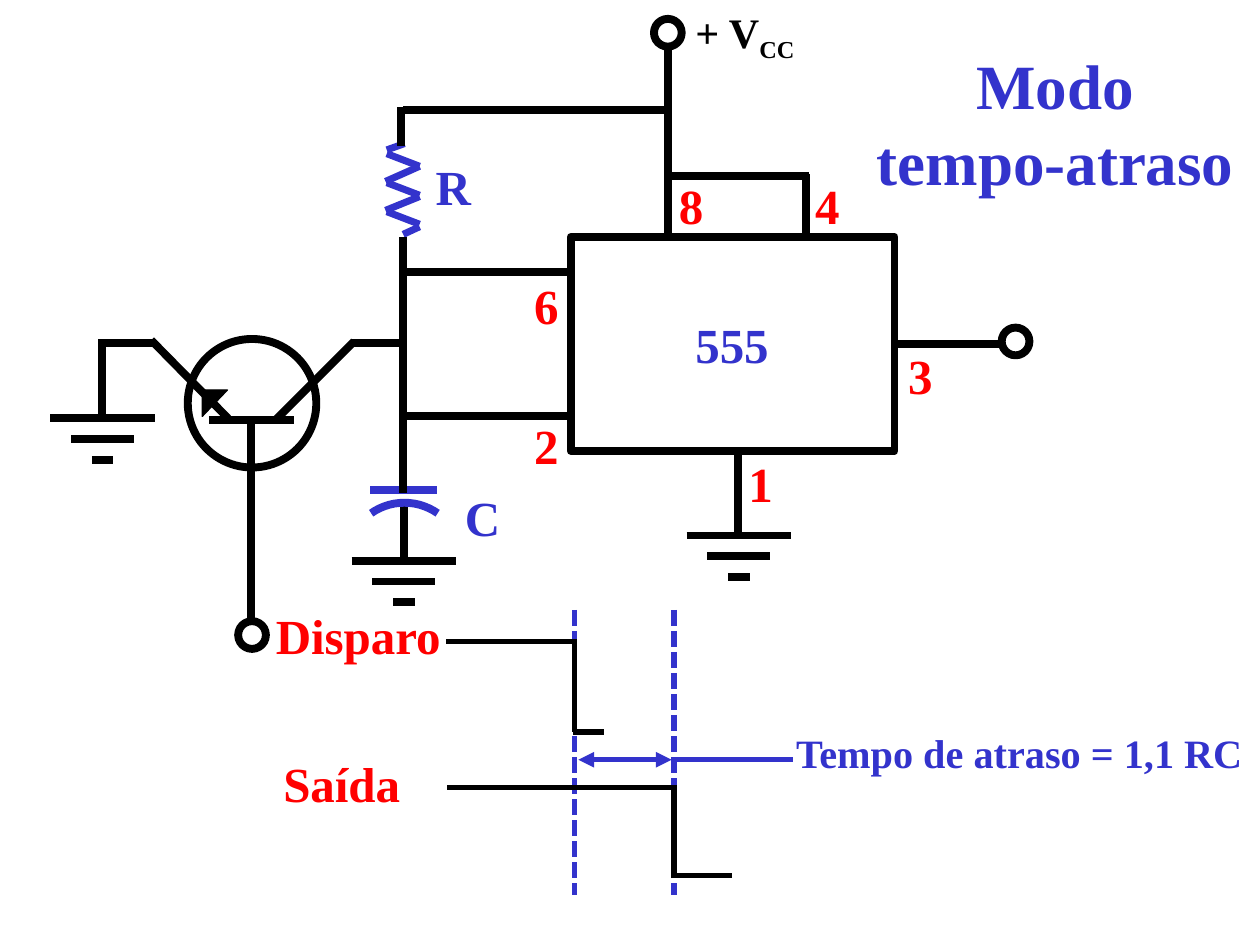
from math import cos, radians, sin

from lxml.etree import SubElement
from pptx import Presentation
from pptx.dml.color import RGBColor
from pptx.enum.dml import MSO_LINE
from pptx.enum.shapes import MSO_CONNECTOR, MSO_SHAPE
from pptx.enum.text import PP_ALIGN
from pptx.oxml.ns import qn
from pptx.util import Inches, Pt

COLORS = {"black": "000000", "blue": "3333CC", "red": "FF0000", "white": "FFFFFF"}
FONT = "Times New Roman"
THICK, THIN = 4.5, 3


def color(name):
    """Return the named colour."""
    return RGBColor.from_string(COLORS[name])


def style_shape(shape, fill=None, line="black", weight=THICK):
    """Set the fill and outline of a shape and drop its shadow."""
    shape.shadow.inherit = False
    if fill:
        shape.fill.solid()
        shape.fill.fore_color.rgb = color(fill)
    else:
        shape.fill.background()
    shape.line.color.rgb = color(line)
    shape.line.width = Pt(weight)
    return shape


def add_shape(page, kind, left, top, width, height, **style):
    """Add a styled preset shape."""
    shape = page.shapes.add_shape(kind, Inches(left), Inches(top), Inches(width), Inches(height))
    return style_shape(shape, **style)


def add_line(page, start, end, line="black", weight=THICK, dash=None, arrows=False):
    """Add a straight line between two points."""
    connector = page.shapes.add_connector(
        MSO_CONNECTOR.STRAIGHT, *(Inches(value) for value in (*start, *end)))
    connector.line.color.rgb = color(line)
    connector.line.width = Pt(weight)
    if dash:
        connector.line.dash_style = dash
    if arrows:
        outline = connector.line._get_or_add_ln()
        for tag in ("a:headEnd", "a:tailEnd"):
            SubElement(outline, qn(tag)).set("type", "triangle")
    SubElement(connector._element.spPr, qn("a:effectLst"))
    return connector


def add_lines(page, left, top, segments, **style):
    """Add lines whose points are offsets from a corner."""
    for x1, y1, x2, y2 in segments:
        add_line(page, (left + x1, top + y1), (left + x2, top + y2), **style)


def add_text(page, text, left, top, width, height, size=28, ink="red",
             align=PP_ALIGN.LEFT, subscript=""):
    """Add bold text, one paragraph for each line, with an optional subscript."""
    box = page.shapes.add_textbox(Inches(left), Inches(top), Inches(width), Inches(height))
    frame = box.text_frame
    frame.word_wrap = False
    for index, words in enumerate(text.split("\n")):
        para = frame.add_paragraph() if index else frame.paragraphs[0]
        para.alignment = align
        for part in filter(None, (words, subscript)):
            span = para.add_run()
            span.text = part
            span.font.name, span.font.size, span.font.bold = FONT, Pt(size), True
            span.font.color.rgb = color(ink)
            if part == subscript:
                span.font._element.set("baseline", "-25000")


def add_terminal(page, left, top):
    """Draw an open circle as a terminal."""
    return add_shape(page, MSO_SHAPE.OVAL, left, top, 0.22, 0.22)


def add_ground(page, left, top):
    """Draw three centred bars that get shorter."""
    for row, length in enumerate((0.83, 0.5, 0.17)):
        inset = (0.83 - length) / 2
        height = row * 0.33 / 2
        add_lines(page, left, top, [(inset, height, inset + length, height)])


def add_resistor(page, left, top):
    """Draw the zigzag resistor and its label."""
    falls = [(0.01, 0.08 + row * 0.23, 0.27, 0.18 + row * 0.23) for row in range(3)]
    rises = [(0, 0.3 + row * 0.23, 0.27, 0.18 + row * 0.24) for row in range(2)]
    ends = [(0.01, 0.05, 0.15, 0), (0.14, 0.72, 0.27, 0.66)]
    add_lines(page, left, top, falls + rises + ends, line="blue", weight=4)
    add_text(page, "R", left + 0.3, top + 0.05, 0.48, 0.57, ink="blue")


def add_capacitor(page, left, top):
    """Draw the flat and curved plates, the label and the ground."""
    add_lines(page, left, top, [(0, 0, 0.53, 0)], line="blue")
    add_lines(page, left, top, [(0.27, 0.11, 0.27, 0.58)])
    radius, middle = 0.46, left + 0.27
    points = [(Inches(middle + radius * sin(radians(angle))),
               Inches(top + 0.1 + radius * (1 - cos(radians(angle)))))
              for angle in range(-35, 36, 5)]
    builder = page.shapes.build_freeform(*points[0], scale=1.0)
    builder.add_line_segments(points[1:], close=False)
    style_shape(builder.convert_to_shape(), line="blue")
    add_text(page, "C", left + 0.65, top - 0.07, 0.48, 0.57, ink="blue")
    add_ground(page, left - 0.15, top + 0.56)


def add_transistor(page, left, top):
    """Draw the transistor, its emitter ground and its trigger terminal."""
    add_shape(page, MSO_SHAPE.OVAL, left, top, 1.02, 1.02)
    add_lines(page, left, top, [
        (0.32, 0.63, -0.29, 0.01), (0.7, 0.64, 1.32, 0.02),
        (0.84, 0.64, 0.17, 0.64), (0.5, 0.65, 0.5, 2.25),
        (-0.28, 0.03, -0.71, 0.03), (-0.68, 0.05, -0.68, 0.62),
        (1.3, 0.03, 1.74, 0.03)])
    arrow = add_shape(page, MSO_SHAPE.RIGHT_TRIANGLE, left + 0.11, top + 0.41, 0.21, 0.2,
                      fill="black", weight=0.75)
    arrow.rotation = 90
    add_ground(page, left - 1.09, top + 0.63)
    add_terminal(page, left + 0.4, top + 2.24)
    add_text(page, "Disparo", left + 0.6, top + 2.07, 1.51, 0.57)


def add_chip(page, left, top, width, height):
    """Draw the timer, its pin numbers, output and ground."""
    chip = add_shape(page, MSO_SHAPE.RECTANGLE, left, top, width, height, fill="white")
    middle = top + height / 2
    output = add_line(page, (left + width, middle), (left + width + 0.84, middle))
    output.begin_connect(chip, 3)
    add_terminal(page, left + width + 0.85, middle - 0.13)
    add_lines(page, left, top, [(1.33, 2.35, 1.33, 1.72)])
    add_ground(page, left + 0.92, top + 2.37)
    add_text(page, "555", left + 0.89, top + 0.57, 0.78, 0.57, ink="blue")
    pins = {"8": (0.76, -0.54), "4": (1.84, -0.54), "6": (-0.39, 0.26),
            "2": (-0.39, 1.37), "1": (1.31, 1.67), "3": (2.58, 0.81)}
    for pin, (across, down) in pins.items():
        add_text(page, pin, left + across, top + down, 0.39, 0.57)


def add_supply(page, left, top):
    """Draw the supply terminal and the wires that leave it."""
    add_terminal(page, left, top)
    add_lines(page, left, top, [
        (-1.99, 0.72, 0.11, 0.72), (0.11, 1.71, 0.11, 0.22),
        (0.11, 1.25, 1.23, 1.25), (1.21, 1.23, 1.21, 1.74),
        (-2.01, 1.01, -2.01, 0.7)])
    add_text(page, "+ V", left + 0.23, top - 0.15, 0.99, 0.56,
             size=24, ink="black", subscript="CC")


def add_timing(page, left, top):
    """Draw the trigger and output signals with the delay between them."""
    fall, rise = 1.02, 1.81
    add_lines(page, left, top, [(edge, 0, edge, 2.26) for edge in (fall, rise)],
              line="blue", weight=THIN, dash=MSO_LINE.SQUARE_DOT)
    add_lines(page, left, top, [
        (0, 0.25, 1.04, 0.25), (fall, 0.25, fall, 0.97), (1.01, 0.97, 1.25, 0.97),
        (0.01, 1.41, 1.83, 1.41), (rise, 2.13, rise, 1.43), (2.27, 2.11, rise, 2.11)],
        weight=THIN)
    add_lines(page, left, top, [(1.05, 1.19, 1.79, 1.19)], line="blue", weight=THIN, arrows=True)
    add_lines(page, left, top, [(1.79, 1.19, 2.75, 1.19)], line="blue", weight=THIN)
    add_text(page, "Tempo de atraso = 1,1 RC", left + 2.68, top + 0.89, 3.78, 0.49,
             size=23, ink="blue")
    add_text(page, "Saída", left - 1.39, top + 1.09, 1.13, 0.57)


def main():
    """Build the slide and save it."""
    deck = Presentation()
    deck.slide_width, deck.slide_height = Inches(10), Inches(7.5)
    page = deck.slides.add_slide(deck.slide_layouts[6])
    add_timing(page, 3.54, 4.84)
    add_resistor(page, 3.06, 1.14)
    add_capacitor(page, 2.94, 3.89)
    add_chip(page, 4.53, 1.88, 2.57, 1.7)
    add_supply(page, 5.19, 0.15)
    add_lines(page, 3.2, 1.88, [(0, 0, 0, 2.03), (0, 0.28, 1.32, 0.28), (0, 1.42, 1.33, 1.42)])
    add_transistor(page, 1.49, 2.69)
    add_text(page, "Modo\ntempo-atraso", 6.86, 0.32, 3.03, 1.3,
             size=36, ink="blue", align=PP_ALIGN.CENTER)
    deck.save("out.pptx")


if __name__ == "__main__":
    main()
